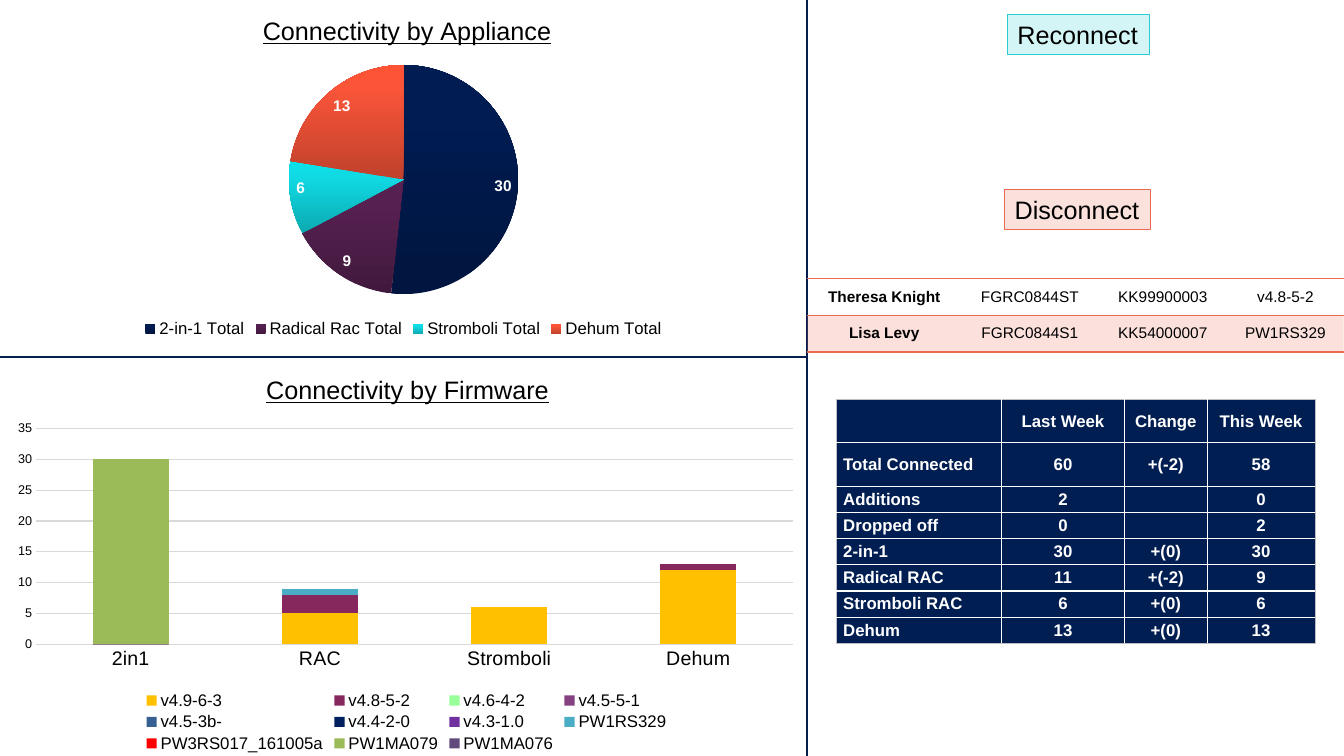
from copy import deepcopy

from lxml.etree import SubElement
from pptx import Presentation
from pptx.chart.data import CategoryChartData
from pptx.dml.color import RGBColor
from pptx.enum.chart import XL_CHART_TYPE, XL_LABEL_POSITION, XL_LEGEND_POSITION, XL_TICK_MARK
from pptx.enum.shapes import MSO_CONNECTOR, MSO_SHAPE
from pptx.enum.text import MSO_ANCHOR, PP_ALIGN
from pptx.oxml import parse_xml
from pptx.oxml.ns import nsdecls, qn
from pptx.util import Cm, Pt

COLORS = {
    "black": "000000", "white": "FFFFFF", "divider": "041E50", "navy": "001E52",
    "frame": "BDBDC2", "grid": "D9D9D9", "red": "EB6852", "pale red": "FBE1DC",
    "teal": "2ACBD3", "pale teal": "D4F5F6",
}
APPLIANCES = {
    "2-in-1 Total": (30, ("00153F", "001C51", "001C52")),
    "Radical Rac Total": (9, ("42193E", "562151", "572052")),
    "Stromboli Total": (6, ("0CA9B0", "10DBE5", "0CE0EA")),
    "Dehum Total": (13, ("C0412C", "FA5539", "FF5336")),
}
FIRMWARE = {
    "v4.9-6-3": ((0, 5, 6, 12), "FFC000"),
    "v4.8-5-2": ((0, 3, 0, 1), "86285D"),
    "v4.6-4-2": ((0, 0, 0, 0), "99FF99"),
    "v4.5-5-1": ((0, 0, 0, 0), "864180"),
    "v4.5-3b-": ((0, 0, 0, 0), "376092"),
    "v4.4-2-0": ((0, 0, 0, 0), "002060"),
    "v4.3-1.0": ((0, 0, 0, 0), "7030A0"),
    "PW1RS329": ((0, 1, 0, 0), "4BACC6"),
    "PW3RS017_161005a": ((0, 0, 0, 0), "FF0000"),
    "PW1MA079": ((30, 0, 0, 0), "9BBB59"),
    "PW1MA076": ((0, 0, 0, 0), "604A7B"),
}
DISCONNECTED = [
    ("Theresa Knight", "FGRC0844ST", "KK99900003", "v4.8-5-2"),
    ("Lisa Levy", "FGRC0844S1", "KK54000007", "PW1RS329"),
]
WEEKLY = [
    ("", "Last Week", "Change", "This Week"),
    ("Total Connected", "60", "+(-2)", "58"),
    ("Additions", "2", "", "0"),
    ("Dropped off", "0", "", "2"),
    ("2-in-1", "30", "+(0)", "30"),
    ("Radical RAC", "11", "+(-2)", "9"),
    ("Stromboli RAC", "6", "+(0)", "6"),
    ("Dehum", "13", "+(0)", "13"),
]


def rgb(name):
    """Return the palette colour with this name, or the hex string itself."""
    return RGBColor.from_string(COLORS.get(name, name))


def set_font(font, size, color="black", bold=False):
    """Set typeface, size, colour and weight of a font."""
    font.name, font.size, font.bold = "Arial", Pt(size), bold
    font.color.rgb = rgb(color)


def set_layout(element, index, **fractions):
    """Fix the place of a chart part as fractions of the chart."""
    for layout in element.findall(qn("c:layout")):
        element.remove(layout)
    layout = parse_xml(f"<c:layout {nsdecls('c')}><c:manualLayout/></c:layout>")
    if element.tag == qn("c:plotArea"):
        SubElement(layout[0], qn("c:layoutTarget"), val="inner")
    for key in ("x", "y"):
        SubElement(layout[0], qn(f"c:{key}Mode"), val="edge")
    for key, value in fractions.items():
        SubElement(layout[0], qn(f"c:{key}"), val=str(value))
    element.insert(index, layout)


def add_titled_chart(slide, box, kind, data, title, title_place, plot_place):
    """Add a chart with an underlined title and a legend below the plot."""
    chart = slide.shapes.add_chart(kind, *map(Cm, box), data).chart
    set_font(chart.font, 10)
    chart.has_title = True
    paragraph = chart.chart_title.text_frame.paragraphs[0]
    paragraph.text = title
    set_font(paragraph.font, 18)
    paragraph.font.underline = True
    chart.has_legend = True
    chart.legend.position = XL_LEGEND_POSITION.BOTTOM
    chart.legend.include_in_layout = False
    set_font(chart.legend.font, 12)
    set_layout(chart.chart_title._element, 1, **title_place)
    set_layout(chart._chartSpace.chart.plotArea, 0, **plot_place)
    return chart


def add_appliance_pie(slide, box):
    """Draw the pie of connected appliances."""
    data = CategoryChartData()
    data.categories = list(APPLIANCES)
    data.add_series("Series 1", [value for value, _ in APPLIANCES.values()])
    chart = add_titled_chart(
        slide, box, XL_CHART_TYPE.PIE, data, "Connectivity by Appliance",
        {"x": 0.32, "y": 0.03}, {"x": 0.35, "y": 0.19, "w": 0.3, "h": 0.67})
    plot = chart.plots[0]
    plot.vary_by_categories = True
    for index, (_, shades) in enumerate(APPLIANCES.values()):
        fill = plot.series[0].points[index].format.fill
        fill.gradient()
        fill.gradient_angle = 90
        stop_list = list(plot.series[0]._element.iter(qn("a:gsLst")))[-1]
        stop_list.insert(1, deepcopy(stop_list[0]))
        for stop, position, shade in zip(fill.gradient_stops, (0, 0.8, 1), shades):
            stop.position = position
            stop.color.rgb = rgb(shade)
    plot.has_data_labels = True
    labels = plot.data_labels
    labels.show_value, labels.show_percentage = True, False
    labels.position = XL_LABEL_POSITION.INSIDE_END
    set_font(labels.font, 11, "white", True)


def add_firmware_columns(slide, box):
    """Draw the stacked columns of firmware versions."""
    data = CategoryChartData()
    data.categories = ["2in1", "RAC", "Stromboli", "Dehum"]
    for version, (values, _) in FIRMWARE.items():
        data.add_series(version, values)
    chart = add_titled_chart(
        slide, box, XL_CHART_TYPE.COLUMN_STACKED, data, "Connectivity by Firmware",
        {"x": 0.32, "y": 0.03}, {"x": 0.04, "y": 0.18, "w": 0.94, "h": 0.54})
    set_layout(chart.legend._element, 1, x=0.17, y=0.83, w=0.66, h=0.17)
    plot = chart.plots[0]
    plot.vary_by_categories = False
    plot.gap_width, plot.overlap = 150, 100
    for series, (_, color) in zip(plot.series, FIRMWARE.values()):
        series.format.fill.solid()
        series.format.fill.fore_color.rgb = rgb(color)
    categories, values = chart.category_axis, chart.value_axis
    values.minimum_scale, values.maximum_scale, values.major_unit = 0, 35, 5
    for axis, size in ((categories, 14), (values, 9)):
        axis.major_tick_mark = axis.minor_tick_mark = XL_TICK_MARK.NONE
        set_font(axis.tick_labels.font, size)
    values.format.line.fill.background()
    for line in (categories.format.line, values.major_gridlines.format.line):
        line.color.rgb, line.width = rgb("grid"), Pt(0.75)


def add_tag(slide, box, text, fill, border):
    """Add a small framed heading."""
    shape = slide.shapes.add_shape(MSO_SHAPE.RECTANGLE, *map(Cm, box))
    shape.shadow.inherit = False
    shape.fill.solid()
    shape.fill.fore_color.rgb = rgb(fill)
    shape.line.color.rgb, shape.line.width = rgb(border), Pt(0.5)
    shape.text_frame.word_wrap = False
    paragraph = shape.text_frame.paragraphs[0]
    paragraph.text, paragraph.alignment = text, PP_ALIGN.LEFT
    set_font(paragraph.font, 18)


def set_borders(cell, borders):
    """Draw the left, right, top and bottom borders of a cell."""
    for index, (side, border) in enumerate(zip("LRTB", borders)):
        line = parse_xml(f"<a:ln{side} {nsdecls('a')}/>")
        if border:
            color, width = border
            line.set("w", str(Pt(width)))
            SubElement(SubElement(line, qn("a:solidFill")), qn("a:srgbClr"), val=COLORS[color])
        else:
            SubElement(line, qn("a:noFill"))
        cell._tc.get_or_add_tcPr().insert(index, line)


def add_grid(slide, left, top, widths, heights, rows, style_cell):
    """Add a table whose cells are styled by a function of row and column."""
    table = slide.shapes.add_table(
        len(rows), len(widths), Cm(left), Cm(top), Cm(sum(widths)), Cm(sum(heights))).table
    table.first_row = table.horz_banding = False
    for column, width in zip(table.columns, widths):
        column.width = Cm(width)
    for row, height in zip(table.rows, heights):
        row.height = Cm(height)
    for row, texts in enumerate(rows):
        for column, text in enumerate(texts):
            cell = table.cell(row, column)
            cell.vertical_anchor = MSO_ANCHOR.MIDDLE
            cell.margin_left = cell.margin_right = Cm(0.18)
            cell.margin_top = cell.margin_bottom = 0
            paragraph = cell.text_frame.paragraphs[0]
            paragraph.text, paragraph.alignment = text, PP_ALIGN.CENTER
            style_cell(cell, paragraph, row, column)
            if not text:
                SubElement(paragraph._p, qn("a:endParaRPr"), sz="1200")


def style_disconnected(cell, paragraph, row, column):
    """Style a cell of the list of disconnected units."""
    set_font(paragraph.font, 11, bold=column == 0)
    if row == 1:
        cell.fill.solid()
        cell.fill.fore_color.rgb = rgb("red")
        fill_color = next(cell._tc.get_or_add_tcPr().iter(qn("a:srgbClr")))
        SubElement(fill_color, qn("a:alpha"), val="20000")
    else:
        cell.fill.background()
    set_borders(cell, (None, None, ("red", 1), ("red", 1)))


def style_weekly(cell, paragraph, row, column):
    """Style a cell of the weekly comparison."""
    set_font(paragraph.font, 12, "white", True)
    if column == 0:
        paragraph.alignment = PP_ALIGN.LEFT
    cell.fill.solid()
    cell.fill.fore_color.rgb = rgb("navy")
    at_edge = (column == 0, column == 3, row == 0, row == len(WEEKLY) - 1)
    set_borders(cell, [("frame", 0.5) if edge else ("white", 1) for edge in at_edge])


def add_status_panel(slide, left, top):
    """Place the headings and tables of the right-hand panel."""
    add_tag(slide, (left + 5.05, top + 0.36, 3.58, 1.02), "Reconnect", "pale teal", "teal")
    add_tag(slide, (left + 4.98, top + 4.77, 3.66, 1.02), "Disconnect", "pale red", "red")
    add_grid(slide, left, top + 7.01, (3.89, 3.45, 3.25, 2.93), (0.93,) * 2,
             DISCONNECTED, style_disconnected)
    add_grid(slide, left + 0.73, top + 10.07, (4.17, 3.1, 2.08, 2.72),
             (1.09,) * 2 + (0.66,) * 6, WEEKLY, style_weekly)


def add_dividers(slide, width, middle, height):
    """Draw the lines between the three regions."""
    for ends in ((0, middle, width, middle), (width, middle, width, 0),
                 (width, middle, width, height)):
        line = slide.shapes.add_connector(MSO_CONNECTOR.STRAIGHT, *map(Cm, ends))
        line.line.color.rgb, line.line.width = rgb("divider"), Pt(1.5)
        SubElement(line._element.spPr, qn("a:effectLst"))


def main():
    """Build and save the slide."""
    presentation = Presentation()
    presentation.slide_width, presentation.slide_height = Cm(33.87), Cm(19.05)
    slide = presentation.slides.add_slide(presentation.slide_layouts[6])
    add_dividers(slide, 20.34, 8.99, 19.05)
    add_appliance_pie(slide, (0, 0, 20.34, 8.62))
    add_firmware_columns(slide, (0.1, 8.99, 20.29, 10.06))
    add_status_panel(slide, 20.34, 0)
    presentation.save("out.pptx")


if __name__ == "__main__":
    main()
